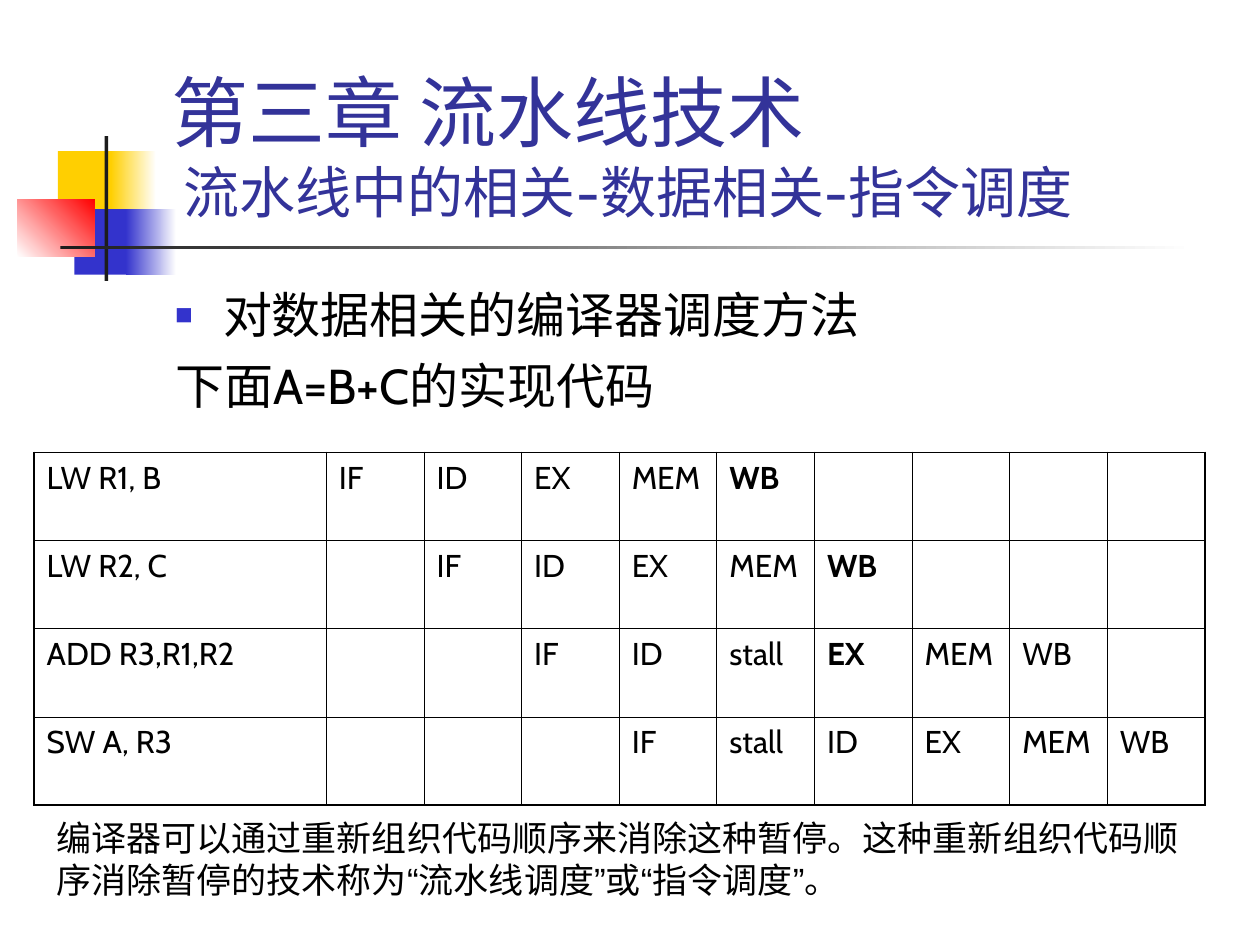
from lxml import etree
from pptx import Presentation
from pptx.dml.color import RGBColor
from pptx.enum import shapes, text
from pptx.oxml.ns import qn
from pptx.util import Inches, Pt

THEME = {
    "yellow": "FFCF01", "blue": "3333CC", "red": "FF0000", "white": "FFFFFF",
    "dark": "1C1C1C", "heading": "333399", "ink": "000000",
    "latin": "Cabin", "cjk": "Noto Sans CJK SC", "quote": "Arial",
    "chapter": 44, "topic": 32, "body": 28, "note": 20, "cell": 18,
    "outer": 1.08, "inner": 0.45,
}


def set_font(font, size, color, latin="latin", east_asian="latin"):
    font.size = Pt(THEME[size])
    font.color.rgb = RGBColor.from_string(THEME[color])
    font.name = THEME[latin]
    etree.SubElement(font._element, qn("a:ea"), typeface=THEME[east_asian])


def place(shape, left, top, width, height):
    shape.left, shape.top = Inches(left), Inches(top)
    shape.width, shape.height = Inches(width), Inches(height)


prs = Presentation()
prs.slide_width, prs.slide_height = Inches(10), Inches(7.5)
slide = prs.slides.add_slide(prs.slide_layouts[1])

# Corner ornament and rule, behind the text: box, start colour, end colour, angle
ornament = [
    ((0.46, 1.2, 0.48, 0.52), "yellow", None, 0),
    ((0.88, 1.2, 0.36, 0.52), "yellow", "white", 0),
    ((0.59, 1.66, 0.46, 0.52), "blue", None, 0),
    ((1, 1.66, 0.4, 0.52), "blue", "white", 0),
    ((0.14, 1.58, 0.61, 0.46), "white", "red", 45),
    ((0.83, 1.08, 0.03, 1.15), "dark", None, 0),
    ((0.48, 1.95, 9, 0.03), "dark", "white", 0),
]
for depth, (box, start, end, angle) in enumerate(ornament):
    block = slide.shapes.add_shape(shapes.MSO_SHAPE.RECTANGLE, *map(Inches, box))
    block.shadow.inherit = False
    block.line.fill.background()
    if end:
        block.fill.gradient()
        block.fill.gradient_angle = angle
        for stop, color in zip(block.fill.gradient_stops, (start, end)):
            stop.color.rgb = RGBColor.from_string(THEME[color])
    else:
        block.fill.solid()
        block.fill.fore_color.rgb = RGBColor.from_string(THEME[start])
    slide.shapes._spTree.insert(2 + depth, block._element)

# Chapter and topic in the title
title = slide.shapes.title
place(title, 1.26, 0.23, 8.52, 1.6)
title.text_frame.auto_size = text.MSO_AUTO_SIZE.NONE
title.text_frame.vertical_anchor = text.MSO_ANCHOR.BOTTOM
heading = title.text_frame.paragraphs[0]
heading.alignment = text.PP_ALIGN.LEFT
chapter = heading.add_run()
chapter.text = "第三章 流水线技术"
set_font(chapter.font, "chapter", "heading", "cjk", "cjk")
heading.add_line_break()
topic = heading.add_run()
topic.text = " 流水线中的相关-数据相关-指令调度"
set_font(topic.font, "topic", "heading", "latin", "cjk")

# Body: one bulleted line and one plain line
body = slide.placeholders[1]
place(body, 1.29, 2.21, 7.25, 1.15)
body.text_frame.auto_size = text.MSO_AUTO_SIZE.NONE
body.text_frame.text = "对数据相关的编译器调度方法\n下面A=B+C的实现代码"
method, example = body.text_frame.paragraphs
for line, gap in ((method, 0), (example, 7)):
    line.space_before = Pt(gap)
    props = line._p.get_or_add_pPr()
    props.set("marL", str(Inches(0.38)))
    props.set("indent", str(-Inches(0.38)))
    if line is method:
        bullet_color = etree.SubElement(props, qn("a:buClr"))
        etree.SubElement(bullet_color, qn("a:srgbClr"), val=THEME["blue"])
        etree.SubElement(props, qn("a:buSzPct"), val="60000")
        etree.SubElement(props, qn("a:buFont"), typeface=THEME["quote"])
        etree.SubElement(props, qn("a:buChar"), char="■")
    else:
        etree.SubElement(props, qn("a:buNone"))
    set_font(line.font, "body", "ink")

# Pipeline table: instruction, start cycle, stages (* marks bold)
pipeline = [
    ("LW R1, B", 1, "IF ID EX MEM *WB"),
    ("LW R2, C", 2, "IF ID EX MEM *WB"),
    ("ADD R3,R1,R2", 3, "IF ID stall *EX MEM WB"),
    ("SW A, R3", 4, "IF stall ID EX MEM WB"),
]
rows, cols = len(pipeline), 10
first_width, cycle_width, row_height = 2.32, 0.775, 0.7
table = slide.shapes.add_table(
    rows, cols, Inches(0.27), Inches(3.59),
    Inches(first_width + (cols - 1) * cycle_width), Inches(rows * row_height)).table
table.first_row = table.horz_banding = False
for c, column in enumerate(table.columns):
    column.width = Inches(cycle_width if c else first_width)

for r, (instruction, start, stages) in enumerate(pipeline):
    table.rows[r].height = Inches(row_height)
    labels = [instruction] + [""] * (start - 1) + stages.split()
    labels += [""] * (cols - len(labels))
    for c, label in enumerate(labels):
        cell = table.cell(r, c)
        cell.text = label.lstrip("*")
        entry = cell.text_frame.paragraphs[0]
        set_font(entry.font, "cell", "ink")
        entry.font.bold = label.startswith("*")
        edges = {"lnL": c == 0, "lnR": c == cols - 1,
                 "lnT": r == 0, "lnB": r == rows - 1}
        for edge, is_outer in edges.items():
            weight = Pt(THEME["outer" if is_outer else "inner"])
            border = etree.SubElement(cell._tc.get_or_add_tcPr(), qn("a:" + edge),
                                      w=str(weight))
            paint = etree.SubElement(border, qn("a:solidFill"))
            etree.SubElement(paint, qn("a:srgbClr"), val=THEME["ink"])
        cell.fill.background()

# Closing note, with the quotation marks in their own font
note = slide.shapes.add_textbox(*map(Inches, (0.35, 6.43, 9.29, 0.77))).text_frame
note.word_wrap = True
note.auto_size = text.MSO_AUTO_SIZE.SHAPE_TO_FIT_TEXT
pieces = [
    "编译器可以通过重新组织代码顺序来消除这种暂停。这种重新组织代码顺序消除暂停的技术称为",
    "“", "流水线调度", "”", "或", "“", "指令调度", "”", "。",
]
for piece in pieces:
    run = note.paragraphs[0].add_run()
    run.text = piece
    face = "quote" if piece in "“”" else "latin"
    set_font(run.font, "note", "ink", face, face)

prs.save("out.pptx")
